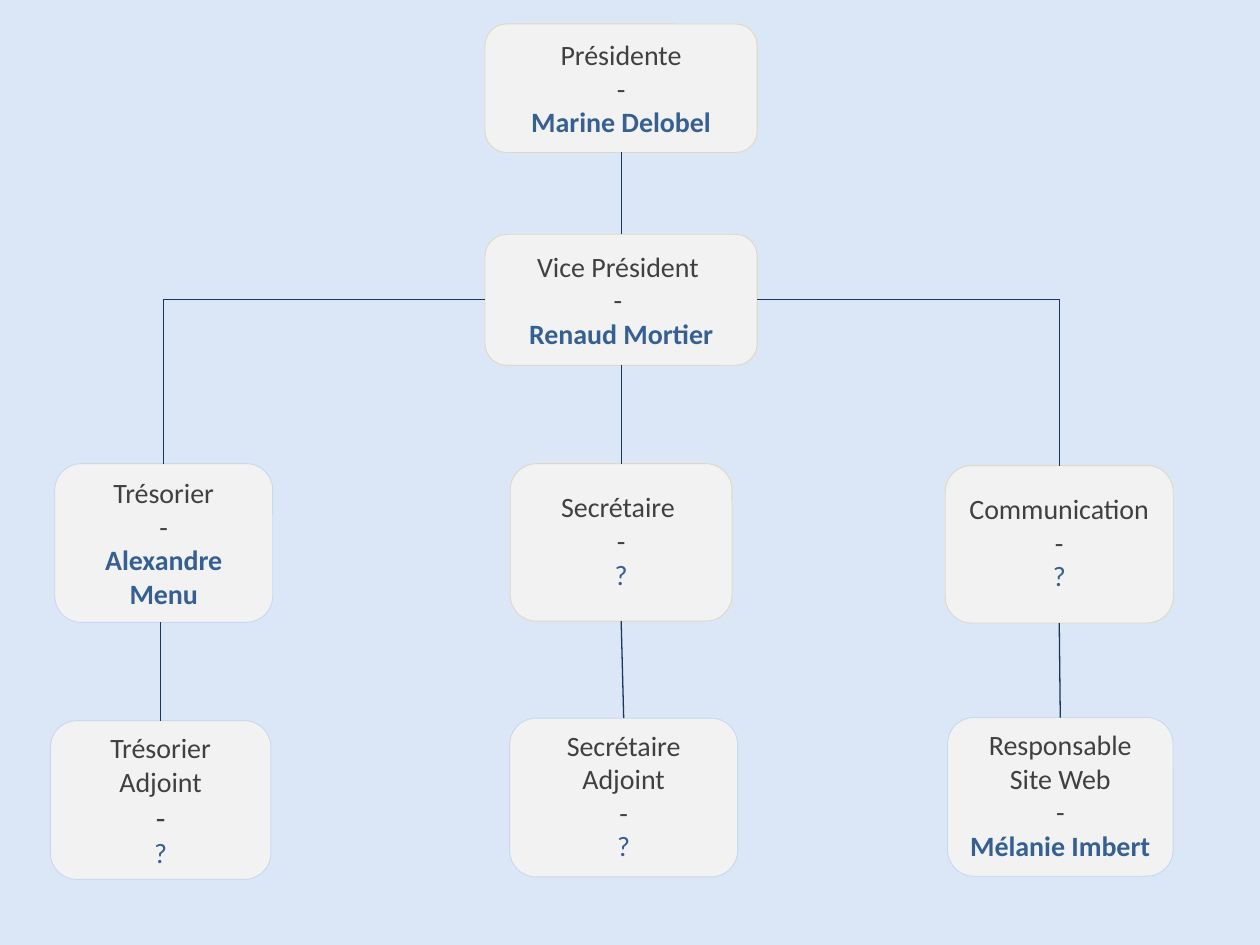
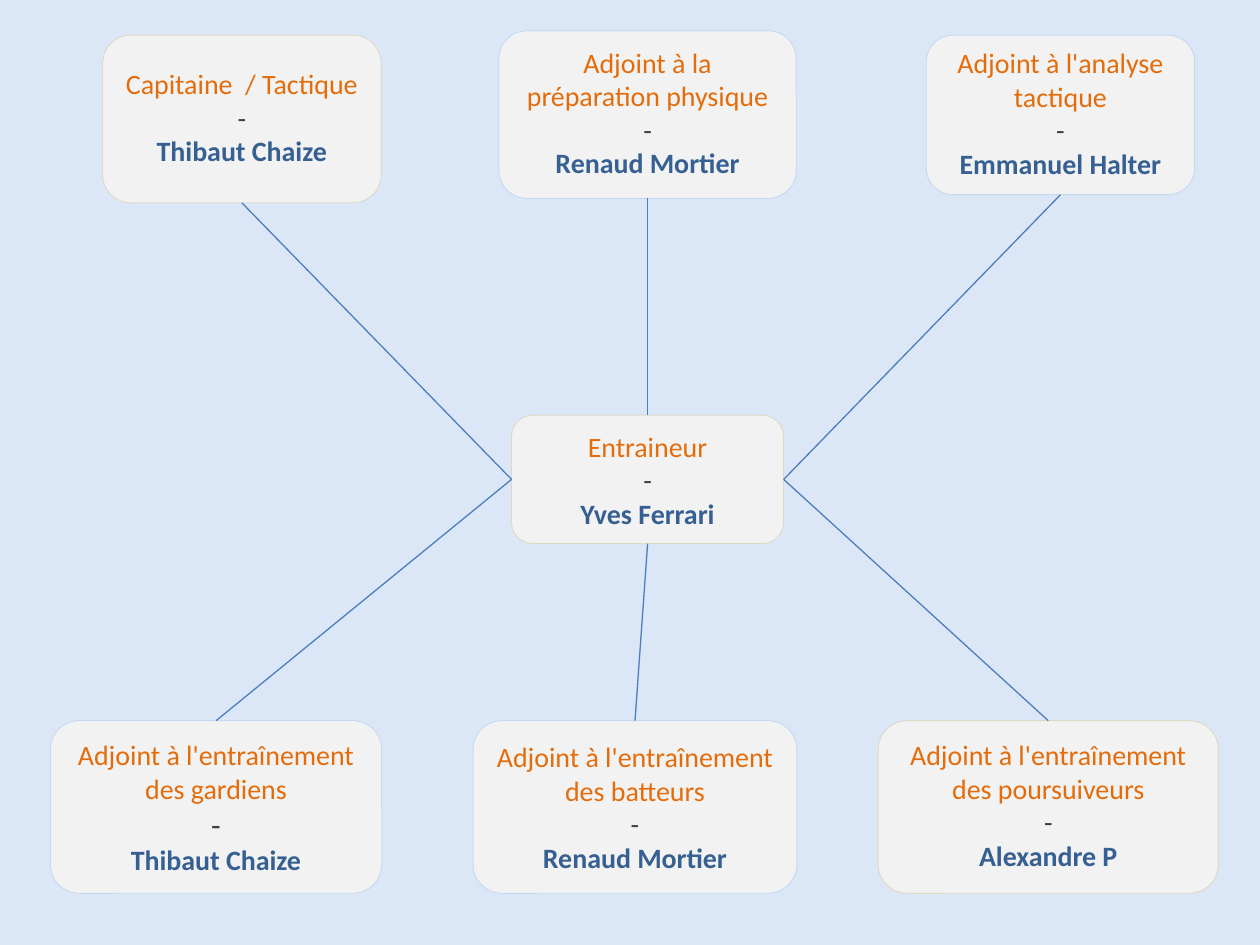
from lxml import etree
from pptx import Presentation
from pptx.dml.color import RGBColor
from pptx.enum.shapes import MSO_CONNECTOR, MSO_SHAPE
from pptx.enum.text import MSO_ANCHOR, PP_ALIGN
from pptx.oxml.ns import qn
from pptx.util import Inches, Pt

ROUNDED = MSO_SHAPE.ROUNDED_RECTANGLE
STRAIGHT, ELBOW = MSO_CONNECTOR.STRAIGHT, MSO_CONNECTOR.ELBOW
MIDDLE, CENTER = MSO_ANCHOR.MIDDLE, PP_ALIGN.CENTER
TOP, LEFT, BOTTOM, RIGHT = range(4)

COLORS = {
    "background": "DBE7F6",
    "box": "F2F2F2",
    "sand": "DDD9C3",
    "sky": "C6D9F1",
    "grey": "404040",
    "orange": "E46C0A",
    "name": "376092",
    "navy": "17375E",
    "blue": "4B7EBC",
}
FONT = "Calibri"
TEXT_SIZE, LARGE_DASH = 16, 18
LIFTED = {"secretary", "communication", "deputy secretary", "website",
          "captain", "chasers", "fitness", "analysis"}

presentation = Presentation()
presentation.slide_width, presentation.slide_height = Inches(10), Inches(7.5)
COLUMN = presentation.slide_width / 100
ROW = presentation.slide_height / 75


def color(name):
    return RGBColor.from_string(COLORS[name])


def side_point(shape, side):
    across = {LEFT: 0, TOP: 0.5, BOTTOM: 0.5, RIGHT: 1}[side]
    down = {TOP: 0, LEFT: 0.5, RIGHT: 0.5, BOTTOM: 1}[side]
    return (round(shape.left + across * shape.width),
            round(shape.top + down * shape.height))


charts = [
    {
        "role_color": "grey",
        "link_color": "navy",
        "boxes": {
            "president": (38.5, 1.9, 21.6, 10.2, "sand", "Présidente", "-", "Marine Delobel", TEXT_SIZE),
            "vice": (38.5, 18.6, 21.6, 10.4, "sand", "Vice Président ", "- ", "Renaud Mortier", TEXT_SIZE),
            "secretary": (40.5, 36.8, 17.6, 12.5, "sand", "Secrétaire ", "-", "?", TEXT_SIZE),
            "treasurer": (4.35, 36.8, 17.3, 12.6, "sky", "Trésorier", "-", "Alexandre Menu", TEXT_SIZE),
            "communication": (75.02, 36.95, 18.1, 12.5, "sand", "Communication", "-", "?", TEXT_SIZE),
            "deputy treasurer": (4, 57.2, 17.5, 12.6, "sky", "Trésorier Adjoint", "-", "?", LARGE_DASH),
            "deputy secretary": (40.45, 57, 18.1, 12.6, "sky", "Secrétaire Adjoint", "-", "?", TEXT_SIZE),
            "website": (75.2, 56.95, 17.9, 12.6, "sky", "Responsable Site Web", "-", "Mélanie Imbert", TEXT_SIZE),
        },
        "links": [
            ("president", BOTTOM, "vice", TOP, STRAIGHT),
            ("vice", BOTTOM, "secretary", TOP, STRAIGHT),
            ("treasurer", BOTTOM, "deputy treasurer", TOP, STRAIGHT),
            ("secretary", BOTTOM, "deputy secretary", TOP, STRAIGHT),
            ("communication", BOTTOM, "website", TOP, STRAIGHT),
            ("vice", LEFT, "treasurer", TOP, ELBOW),
            ("vice", RIGHT, "communication", TOP, ELBOW),
        ],
    },
    {
        "role_color": "orange",
        "link_color": "blue",
        "boxes": {
            "coach": (40.6, 32.95, 21.6, 10.2, "sand", "Entraineur", "-", "Yves Ferrari", TEXT_SIZE),
            "captain": (8.15, 2.8, 22.1, 13.3, "sand", "Capitaine  / Tactique", "-", "Thibaut Chaize", TEXT_SIZE),
            "beaters": (37.55, 57.2, 25.7, 13.7, "sky", "Adjoint à l'entraînement des batteurs", "-", "Renaud Mortier", TEXT_SIZE),
            "chasers": (69.7, 57.2, 27, 13.7, "sand", "Adjoint à l'entraînement des poursuiveurs", "-", "Alexandre P", TEXT_SIZE),
            "keepers": (4, 57.2, 26.3, 13.7, "sky", "Adjoint à l'entraînement des gardiens", "-", "Thibaut Chaize", LARGE_DASH),
            "fitness": (39.6, 2.45, 23.6, 13.3, "sky", "Adjoint à la préparation physique", "-", "Renaud Mortier", TEXT_SIZE),
            "analysis": (73.52, 2.8, 21.3, 12.65, "sky", "Adjoint à l'analyse tactique", "-", "Emmanuel Halter", TEXT_SIZE),
        },
        "links": [
            ("captain", BOTTOM, "coach", LEFT, STRAIGHT),
            ("fitness", BOTTOM, "coach", TOP, STRAIGHT),
            ("analysis", BOTTOM, "coach", RIGHT, STRAIGHT),
            ("keepers", TOP, "coach", LEFT, STRAIGHT),
            ("beaters", TOP, "coach", BOTTOM, STRAIGHT),
            ("chasers", TOP, "coach", RIGHT, STRAIGHT),
        ],
    },
]

for chart in charts:
    slide = presentation.slides.add_slide(presentation.slide_layouts[6])
    slide.background.fill.solid()
    slide.background.fill.fore_color.rgb = color("background")

    shapes = {}
    for key, box in chart["boxes"].items():
        left, top, width, height, outline, role, dash, person, dash_size = box
        shape = slide.shapes.add_shape(
            ROUNDED, round(left * COLUMN), round(top * ROW),
            round(width * COLUMN), round(height * ROW))
        shapes[key] = shape
        shape.shadow.inherit = False
        shape.fill.solid()
        shape.fill.fore_color.rgb = color("box")
        shape.line.color.rgb = color(outline)
        shape.line.width = Pt(0.5)
        frame = shape.text_frame
        frame.word_wrap = True
        frame.vertical_anchor = MIDDLE
        if key in LIFTED:
            frame.margin_bottom = Pt(6)
        lines = [
            (role, chart["role_color"], TEXT_SIZE, False),
            (dash, "grey", dash_size, False),
            (person, "name", TEXT_SIZE, person != "?"),
        ]
        for index, (text, text_color, size, bold) in enumerate(lines):
            paragraph = frame.add_paragraph() if index else frame.paragraphs[0]
            paragraph.alignment = CENTER
            run = paragraph.add_run()
            run.text = text
            run.font.name = FONT
            run.font.size = Pt(size)
            run.font.bold = bold
            run.font.color.rgb = color(text_color)

    for start, start_side, end, end_side, kind in chart["links"]:
        start_x, start_y = side_point(shapes[start], start_side)
        end_x, end_y = side_point(shapes[end], end_side)
        if start == "treasurer":
            start_x = end_x
        connector = slide.shapes.add_connector(kind, start_x, start_y, end_x, end_y)
        if start != "treasurer":
            connector.begin_connect(shapes[start], start_side)
        connector.end_connect(shapes[end], end_side)
        connector.line.color.rgb = color(chart["link_color"])
        connector.line.width = Pt(0.75)
        properties = connector.element.find(qn("p:spPr"))
        etree.SubElement(properties, qn("a:effectLst"))
        if kind == ELBOW:
            properties.find(qn("a:prstGeom")).set("prst", "bentConnector2")

presentation.save("out.pptx")
